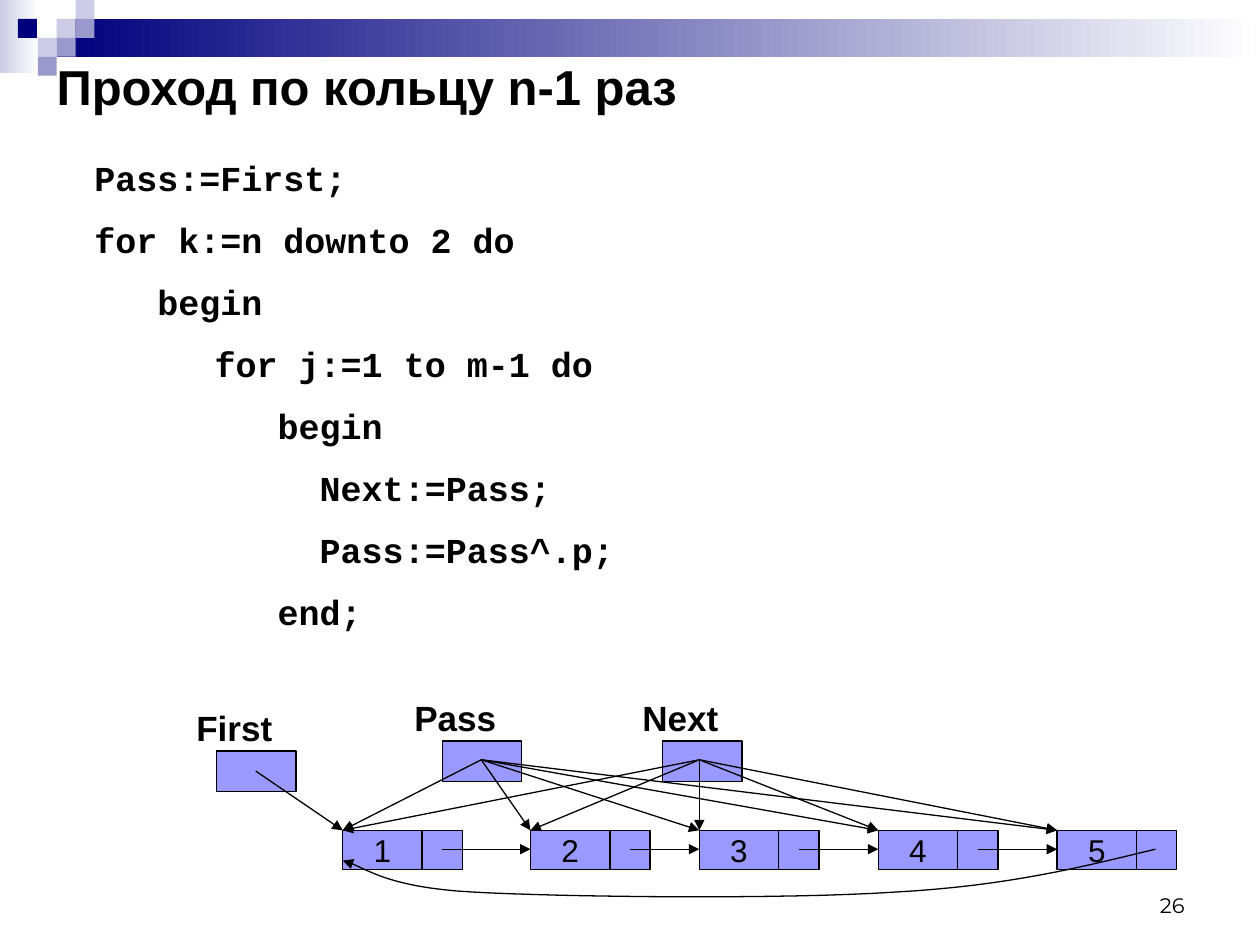
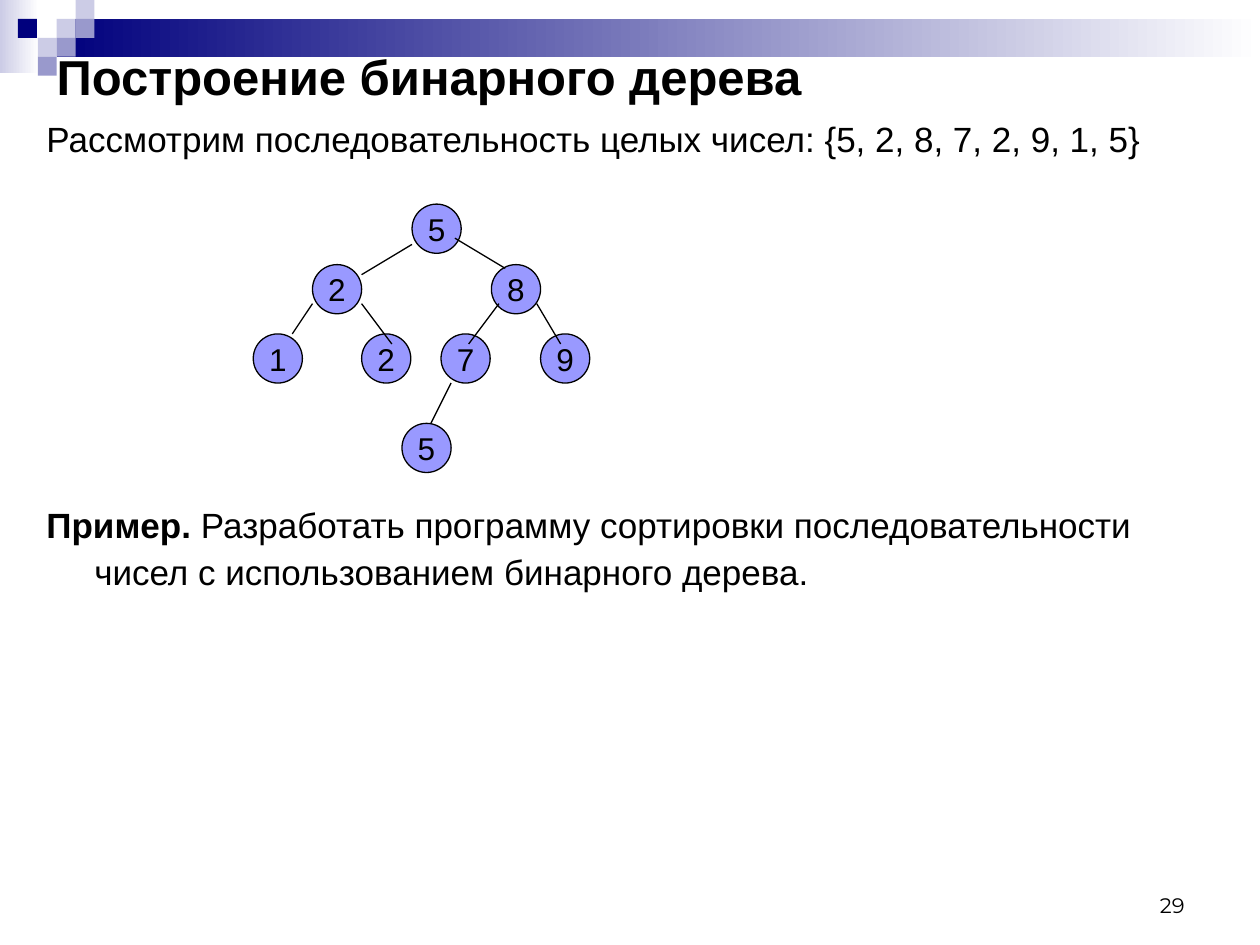
from lxml import etree
from pptx import Presentation
from pptx.dml.color import RGBColor
from pptx.enum.shapes import MSO_CONNECTOR, MSO_SHAPE
from pptx.enum.text import MSO_ANCHOR, PP_ALIGN
from pptx.oxml.ns import qn
from pptx.util import Inches, Pt

RECT, OVAL = MSO_SHAPE.RECTANGLE, MSO_SHAPE.OVAL
STRAIGHT = MSO_CONNECTOR.STRAIGHT
LEFT, CENTER, RIGHT = PP_ALIGN.LEFT, PP_ALIGN.CENTER, PP_ALIGN.RIGHT
TOP, MIDDLE, BOTTOM = MSO_ANCHOR.TOP, MSO_ANCHOR.MIDDLE, MSO_ANCHOR.BOTTOM

BLACK, WHITE = "000000", "FFFFFF"
NAVY, PALE, LILAC, CELL = "00007D", "CCCCE6", "9999CC", "9999FF"
SANS, MONO, NUMBER_FONT = "Arial", "Courier New", "Montserrat"


def rgb(color):
    return RGBColor.from_string(color)


def write(frame, text, size=20, bold=False, font=SANS, color=BLACK, align=LEFT,
          anchor=TOP, wrap=True, spacing=1.0, before=0, margin=0, indent=0, lead=""):
    """Add one paragraph to the frame; lead is a bold opening."""
    frame.word_wrap, frame.vertical_anchor = wrap, anchor
    paragraph = frame.paragraphs[0]
    if paragraph.runs:
        paragraph = frame.add_paragraph()
    paragraph.alignment, paragraph.line_spacing = align, spacing
    paragraph.space_before = Pt(before)
    if margin:
        properties = paragraph._p.get_or_add_pPr()
        properties.set("marL", str(Inches(margin)))
        properties.set("indent", str(Inches(indent)))
    for part, heavy in ((lead, True), (text, bold)):
        if part:
            run = paragraph.add_run()
            run.text = part
            run.font.name, run.font.size, run.font.bold = font, Pt(size), heavy
            run.font.color.rgb = rgb(color)


def text_box(slide, left, top, width, height):
    box = slide.shapes.add_textbox(*map(Inches, (left, top, width, height)))
    return box.text_frame


def add_block(slide, kind, left, top, width, height, fill, outlined=True):
    """Add a preset shape; a pair of fill colours makes a gradient."""
    block = slide.shapes.add_shape(kind, *map(Inches, (left, top, width, height)))
    block.shadow.inherit = False
    if isinstance(fill, tuple):
        block.fill.gradient()
        block.fill.gradient_angle = 0
        for stop, color in zip(block.fill.gradient_stops, fill):
            stop.color.rgb = rgb(color)
    else:
        block.fill.solid()
        block.fill.fore_color.rgb = rgb(fill)
    if outlined:
        ink(block)
    else:
        block.line.fill.background()
    return block


def ink(shape, arrow=False):
    """Give a shape the thin black line, with an arrowhead if wanted."""
    shape.line.color.rgb = rgb(BLACK)
    shape.line.width = Pt(0.75)
    if arrow:
        line = shape.element.spPr.find(qn("a:ln"))
        etree.SubElement(line, qn("a:tailEnd"), type="triangle")


def join(slide, start, end, arrow=False):
    link = slide.shapes.add_connector(STRAIGHT, *map(Inches, (*start, *end)))
    ink(link, arrow)
    etree.SubElement(link.element.spPr, qn("a:effectLst"))


def add_value(slide, kind, left, top, width, height, value):
    block = add_block(slide, kind, left, top, width, height, CELL)
    write(block.text_frame, value, size=18, align=CENTER, anchor=MIDDLE, wrap=False)


def decorate_layout(slide, layout):
    """Draw the band and squares, then move them to the shared layout."""
    tile = 0.15
    parts = [(0, 0, 0.31, 0.58, (PALE, WHITE)), (0.45, tile, 9.55, 0.3, (NAVY, WHITE))]
    squares = [(3, 1, PALE), (4, 0, PALE), (4, 1, LILAC), (2, 2, PALE),
               (0.95, 1, NAVY), (3, 2, LILAC), (2, 3, LILAC)]
    parts += [(col * tile, row * tile, tile, tile, color) for col, row, color in squares]
    for part in parts:
        block = add_block(slide, RECT, *part, outlined=False)
        layout.shapes.element.append(block.element)


def start_slide(deck, layout, title, title_top, number):
    slide = deck.slides.add_slide(layout)
    heading = slide.shapes.title
    heading.left, heading.top = Inches(0.35), Inches(title_top)
    heading.width, heading.height = Inches(9.45), Inches(0.48)
    write(heading.text_frame, title, size=28, bold=True, anchor=MIDDLE)
    write(text_box(slide, 7.17, 6.83, 2.33, 0.5), number, size=12,
          font=NUMBER_FONT, align=RIGHT, anchor=BOTTOM)
    return slide


def add_code(slide, left, top, width, height):
    frame = text_box(slide, left, top, width, height)
    code = [
        (0.38, "Pass:=First;"),
        (0.38, "for k:=n downto 2 do"),
        (0.38, "   begin"),
        (0, "        for j:=1 to m-1 do"),
        (0, "           begin"),
        (0, "             Next:=Pass;"),
        (0, "             Pass:=Pass^.p;"),
        (0, "           end;"),
    ]
    for row, (margin, line) in enumerate(code):
        write(frame, line, bold=True, font=MONO, spacing=1.2,
              before=6.6 if row else 0, margin=margin)


def curve_points(start, curves, steps=16):
    """Sample a chain of cubic curves."""
    points = [start]
    for first, second, end in curves:
        origin = points[-1]
        for step in range(1, steps + 1):
            t = step / steps
            weights = ((1 - t) ** 3, 3 * t * (1 - t) ** 2, 3 * t * t * (1 - t), t ** 3)
            anchors = (origin, first, second, end)
            points.append(tuple(sum(w * p[axis] for w, p in zip(weights, anchors))
                                for axis in (0, 1)))
    return points


def add_ring(slide, left, top):
    value_width, link_width, height = 0.63, 0.32, 0.31
    node_top = top + 1.11
    link_y = node_top + 0.15
    nodes = [left + x for x in (1.26, 2.75, 4.09, 5.51, 6.93)]
    link_center = value_width + link_width / 2

    for value, x in enumerate(nodes, 1):
        add_value(slide, RECT, x, node_top, value_width, height, str(value))
        add_block(slide, RECT, x + value_width, node_top, link_width, height, CELL)
    for x, following in zip(nodes, nodes[1:]):
        join(slide, (x + link_center, link_y), (following, link_y), arrow=True)

    # name, label x, label y, box x, arrow start, nodes it points to
    pointers = [
        ("First", 0, 0.08, 0.26, (0.57, 0.64), nodes[:1]),
        ("Pass", 1.73, 0, 2.05, (2.36, 0.55), nodes),
        ("Next", 3.54, 0, 3.8, (4.09, 0.55), nodes),
    ]
    for name, label_x, label_y, box_x, (start_x, start_y), targets in pointers:
        add_block(slide, RECT, left + box_x, top + label_y + 0.4, value_width, 0.32, CELL)
        write(text_box(slide, left + label_x, top + label_y, 0.85, 0.44), name,
              bold=True, wrap=False)
        for target in targets:
            join(slide, (left + start_x, top + start_y), (target, node_top), arrow=True)

    path = curve_points((7.71, 1.26), [
        ((7.13, 1.4), (6.55, 1.55), (5.65, 1.6)),
        ((4.74, 1.66), (3.02, 1.64), (2.29, 1.6)),
        ((1.56, 1.56), (1.43, 1.39), (1.26, 1.35)),
    ])
    points = [(Inches(left + x), Inches(top + y)) for x, y in path]
    builder = slide.shapes.build_freeform(*points[0])
    builder.add_line_segments(points[1:], close=False)
    closing = builder.convert_to_shape()
    closing.shadow.inherit = False
    closing.fill.background()
    ink(closing, arrow=True)


def add_task(slide, left, top, width, height):
    frame = text_box(slide, left, top, width, height)
    write(frame, "Рассмотрим последовательность целых чисел: {5, 2, 8, 7, 2, 9, 1, 5}",
          margin=0.38, indent=-0.38)
    write(frame, " Разработать программу сортировки последовательности чисел"
          " с использованием бинарного дерева.", lead="Пример.",
          spacing=1.12, before=194, margin=0.38, indent=-0.38)


def add_tree(slide, left, top):
    diameter = 0.39
    levels = [
        (0, [("5", 1.26)]),
        (0.48, [("2", 0.47), ("8", 1.89)]),
        (1.03, [("1", 0), ("2", 0.86), ("7", 1.49), ("9", 2.28)]),
        (1.74, [("5", 1.18)]),
    ]
    for y, nodes in levels:
        for value, x in nodes:
            add_value(slide, OVAL, left + x, top + y, diameter, diameter, value)
    branches = [
        (1.26, 0.32, 0.86, 0.56), (1.6, 0.27, 2, 0.51),
        (0.47, 0.79, 0.31, 1.03), (0.86, 0.79, 1.1, 1.11),
        (1.95, 0.79, 1.71, 1.11), (2.25, 0.79, 2.44, 1.11),
        (1.57, 1.42, 1.41, 1.74),
    ]
    for x1, y1, x2, y2 in branches:
        join(slide, (left + x1, top + y1), (left + x2, top + y2))


def main():
    deck = Presentation()
    deck.slide_width, deck.slide_height = Inches(10), Inches(7.5)
    layout = deck.slide_layouts[5]

    ring = start_slide(deck, layout, "Проход по кольцу n-1 раз", 0.44, "26")
    decorate_layout(ring, layout)
    add_code(ring, 0.27, 1.13, 4.96, 3.94)
    add_ring(ring, 1.46, 5.48)

    tree = start_slide(deck, layout, "Построение бинарного дерева", 0.36, "29")
    add_task(tree, 0.27, 0.88, 9.45, 6.3)
    add_tree(tree, 2.01, 1.62)

    deck.save("out.pptx")


if __name__ == "__main__":
    main()
